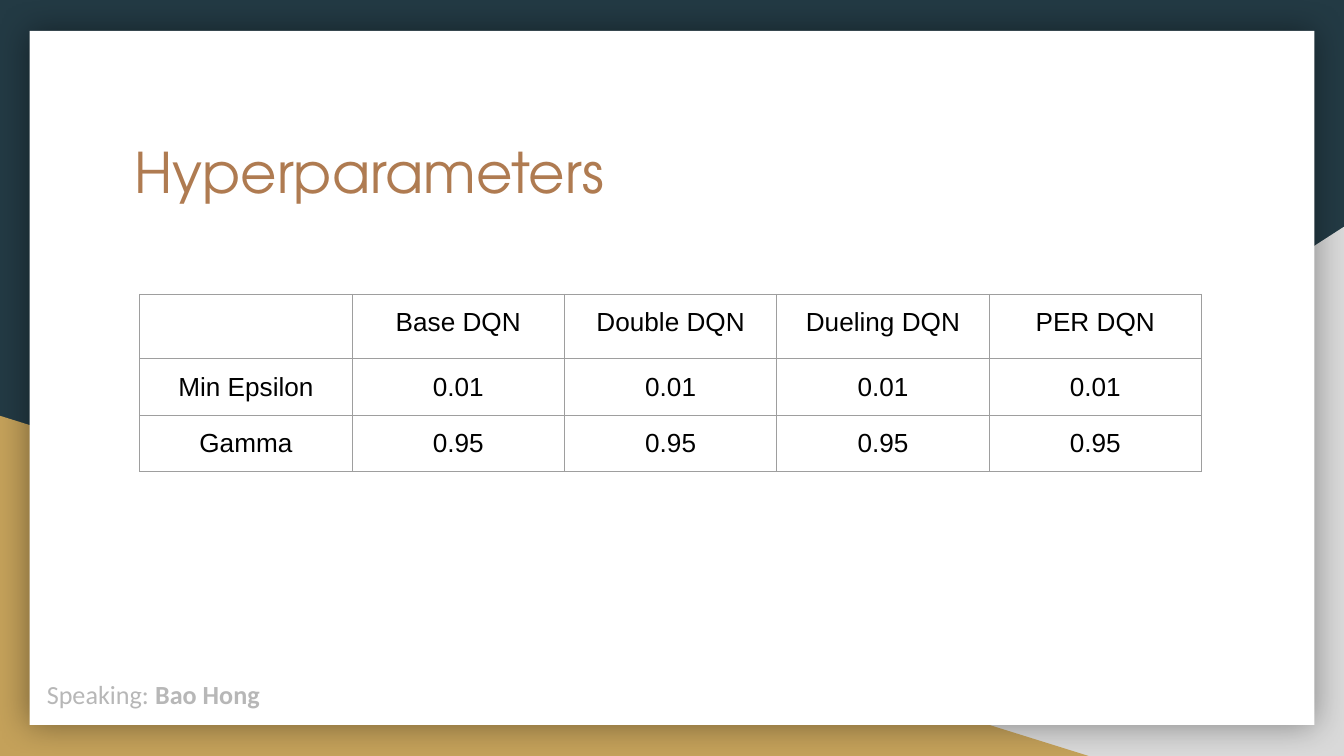
from lxml.etree import SubElement
from pptx import Presentation
from pptx.dml.color import RGBColor
from pptx.enum.shapes import MSO_SHAPE as Shape
from pptx.enum.text import MSO_ANCHOR as Anchor, PP_ALIGN as Align
from pptx.oxml.ns import qn
from pptx.util import Inches, Pt

WIDTH = 10
HEIGHT = WIDTH * 9 / 16
INSET = 0.1
COLUMN, HEADER_ROW, BODY_ROW = 1.58, 0.48, 0.42
ROWS = [
    ["", "Base DQN", "Double DQN", "Dueling DQN", "PER DQN"],
    ["Min Epsilon"] + ["0.01"] * 4,
    ["Gamma"] + ["0.95"] * 4,
]


def color(value):
    """Turn a hex string into a colour."""
    return RGBColor.from_string(value)


def place(shape, box):
    """Move a shape to a box of left, top, width and height in inches."""
    shape.left, shape.top, shape.width, shape.height = map(Inches, box)


def write(frame, *runs, font="Arial", size=14, fill="000000", align=Align.LEFT):
    """Write (text, bold) runs as one formatted paragraph."""
    paragraph = frame.paragraphs[0]
    paragraph.alignment = align
    for text, bold in runs:
        run = paragraph.add_run()
        run.text = text
        run.font.name, run.font.size, run.font.bold = font, Pt(size), bold
        run.font.color.rgb = color(fill)
    if not runs:
        SubElement(paragraph._p, qn("a:endParaRPr"), sz=str(size * 100))


def set_insets(frame):
    """Give a text frame equal margins on all sides."""
    frame.margin_left = frame.margin_right = Inches(INSET)
    frame.margin_top = frame.margin_bottom = Inches(INSET)


def add_block(slide, kind, box, fill):
    """Add a plain filled shape without a line."""
    shape = slide.shapes.add_shape(kind, *map(Inches, box))
    shape.shadow.inherit = False
    shape.fill.solid()
    shape.fill.fore_color.rgb = color(fill)
    shape.line.fill.background()
    return shape


def add_glow_shadow(shape, blur, opacity):
    """Add a soft black shadow around a shape."""
    effects = shape._element.spPr.find(qn("a:effectLst"))
    shadow = SubElement(effects, qn("a:outerShdw"), blurRad=str(Pt(blur)),
                        dist="0", dir="0", algn="ctr", rotWithShape="0")
    black = SubElement(shadow, qn("a:srgbClr"), val="000000")
    SubElement(black, qn("a:alpha"), val=str(opacity * 1000))


def add_backdrop(slide, width, height):
    """Draw the dark ground, the two corner triangles and the white panel."""
    slide.background.fill.solid()
    slide.background.fill.fore_color.rgb = color("233A44")
    right_width, right_height = 0.61 * width, 0.7 * height
    right = add_block(slide, Shape.RIGHT_TRIANGLE,
                      (width - right_width, height - right_height, right_width, right_height), "D9D9D9")
    right._element.spPr.xfrm.set("flipH", "1")
    left_height = 0.45 * height
    add_block(slide, Shape.RIGHT_TRIANGLE,
              (0, height - left_height, 0.81 * width, left_height), "C4A15A")
    side, top = 0.22, 0.23
    panel = add_block(slide, Shape.RECTANGLE,
                      (side, top, width - 2 * side, height - 2 * top), "FFFFFF")
    add_glow_shadow(panel, blur=18, opacity=40)


def add_title(slide, box, text):
    """Format the title placeholder and bring it to the front."""
    title = slide.shapes.title
    place(title, box)
    frame = title.text_frame
    set_insets(frame)
    frame.word_wrap, frame.vertical_anchor = True, Anchor.TOP
    write(frame, (text, False), font="TeX Gyre Adventor", size=30, fill="AF7B51")
    slide.shapes._spTree.append(title._element)


def add_borders(cell, fill, width):
    """Draw the four borders of a table cell."""
    properties = cell._tc.get_or_add_tcPr()
    for index, side in enumerate(("lnL", "lnR", "lnT", "lnB")):
        line = properties.makeelement(qn(f"a:{side}"), {"w": str(Pt(width))})
        solid = SubElement(line, qn("a:solidFill"))
        SubElement(solid, qn("a:srgbClr"), val=fill)
        properties.insert(index, line)


def add_parameter_table(slide, left, top, rows):
    """Add the table with equal columns and a taller header row."""
    heights = [HEADER_ROW] + [BODY_ROW] * (len(rows) - 1)
    box = (left, top, COLUMN * len(rows[0]), sum(heights))
    table = slide.shapes.add_table(len(rows), len(rows[0]), *map(Inches, box)).table
    table.first_row = table.horz_banding = False
    for row, height, texts in zip(table.rows, heights, rows):
        row.height = Inches(height)
        for cell, text in zip(row.cells, texts):
            set_insets(cell)
            cell.fill.background()
            add_borders(cell, "9E9E9E", 0.75)
            runs = [(text, False)] if text else []
            write(cell.text_frame, *runs, align=Align.CENTER)


def add_speaker(slide, box, name):
    """Add the speaker's line in the panel's lower corner."""
    frame = slide.shapes.add_textbox(*map(Inches, box)).text_frame
    set_insets(frame)
    frame.word_wrap = True
    write(frame, ("Speaking: ", False), (name, True), font="Calibri", fill="B7B7B7")


def main():
    """Build and save the slide."""
    presentation = Presentation()
    presentation.slide_width, presentation.slide_height = Inches(WIDTH), Inches(HEIGHT)
    slide = presentation.slides.add_slide(presentation.slide_layouts[5])
    add_backdrop(slide, WIDTH, HEIGHT)
    add_title(slide, (0.9, 0.92, 8.21, 1.04), "Hyperparameters")
    add_parameter_table(slide, 1.04, 2.19, ROWS)
    add_speaker(slide, (0.25, 4.95, 2.47, 0.44), "Bao Hong")
    presentation.save("out.pptx")


if __name__ == "__main__":
    main()
